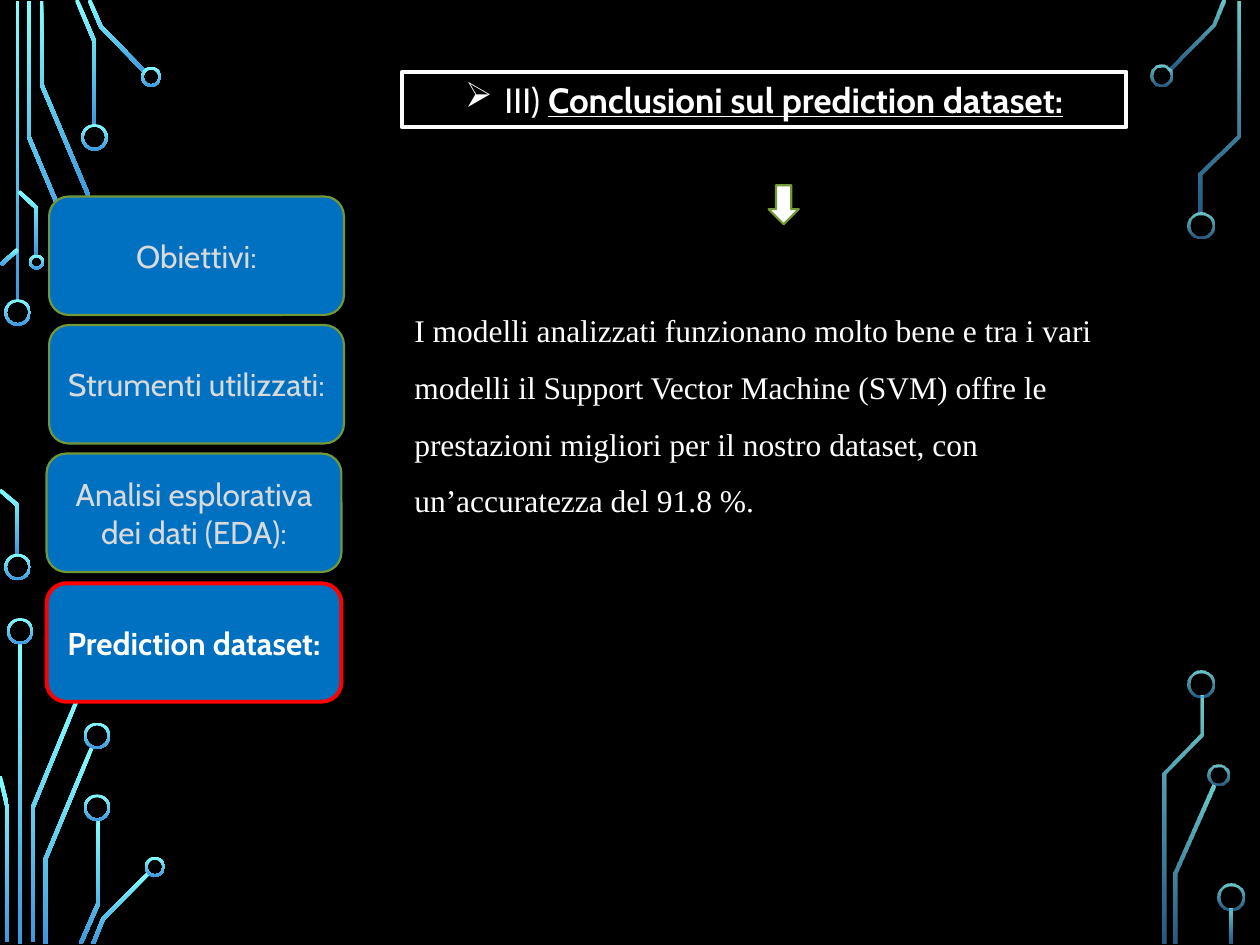
import math

from lxml import etree
from pptx import Presentation
from pptx import util as u
from pptx.dml.color import RGBColor
from pptx.enum import shapes, text
from pptx.oxml.ns import qn

COLOURS = {
    "background": "000000", "glow_top": "82FFFF", "glow_bottom": "3D97DE",
    "step": "0070C0", "step_edge": "729838", "step_text": "D9D9D9",
    "current_edge": "FF0000", "white": "FFFFFF",
}
HEADING_FONT, BODY_FONT = "Cabin", "Times New Roman"

# Menu steps: label, left, top, is current
STEPS = [
    ("Obiettivi:", 0.39, 1.56, False),
    ("Strumenti utilizzati:", 0.39, 2.58, False),
    ("Analisi esplorativa dei dati (EDA):", 0.37, 3.6, False),
    ("Prediction dataset:", 0.37, 4.63, True),
]
TITLE = [(" III) ", False), ("Conclusioni sul prediction dataset:", True)]
CONCLUSION = ("I modelli analizzati funzionano molto bene e tra i vari modelli il "
              "Support Vector Machine (SVM) offre le prestazioni migliori per il "
              "nostro dataset, con un’accuratezza del 91.8 %.")

# Circuit pattern: centre lines of the traces, and rings as (centre x, centre y, diameter)
TRACE_WIDTH, RING_WIDTH = 0.03, 0.02
CIRCUITS = [
    {
        "opacity": None,
        "traces": [
            [(0.14, 0.01), (0.14, 2.4)],
            [(0.23, 0.01), (0.23, 1.09), (0.61, 1.99)],
            [(0.33, 0.01), (0.33, 0.67), (0.71, 1.57)],
            [(0.61, 0), (0.75, 0.33), (0.75, 1)],
            [(0.71, 0), (0.8, 0.21), (1.15, 0.57)],
            [(0.01, 2.1), (0.14, 1.98)],
            [(0, 3.89), (0.14, 4.01), (0.14, 4.41)],
            [(0.15, 1.52), (0.29, 1.65), (0.29, 2.03)],
            [(0.16, 5.1), (0.16, 7.49)],
            [(0.63, 5.51), (0.26, 6.41), (0.26, 7.48)],
            [(0, 6.16), (0.06, 6.41), (0.06, 7.48)],
            [(0.73, 5.93), (0.36, 6.82), (0.36, 7.49)],
            [(0.78, 6.5), (0.78, 7.17), (0.64, 7.49)],
            [(1.18, 6.93), (0.82, 7.29), (0.74, 7.49)],
        ],
        "rings": [
            (0.14, 2.48, 0.21), (0.14, 4.5, 0.21), (0.75, 1.66, 0.21),
            (0.75, 1.09, 0.21), (1.2, 0.61, 0.16), (0.29, 2.08, 0.12),
            (0.16, 5.01, 0.21), (0.77, 5.84, 0.21), (0.77, 6.41, 0.21),
            (1.23, 6.88, 0.16),
        ],
    },
    {
        "opacity": (80, 60),
        "traces": [
            [(9.71, 0), (9.63, 0.2), (9.28, 0.56)],
            [(9.63, 6.23), (9.33, 6.93), (9.33, 7.49)],
            [(9.83, 0.01), (9.83, 1.08), (9.53, 1.38), (9.53, 1.69)],
            [(9.54, 5.52), (9.54, 5.83), (9.24, 6.14), (9.24, 7.49)],
            [(9.77, 7.21), (9.77, 7.49)],
        ],
        "rings": [
            (9.22, 0.6, 0.17), (9.53, 1.79, 0.21), (9.67, 6.15, 0.17),
            (9.53, 5.43, 0.21), (9.77, 7.12, 0.21),
        ],
    },
]


def rgb(name):
    return RGBColor.from_string(COLOURS[name])


def inches(*lengths):
    return [u.Inches(length) for length in lengths]


def trace_outline(points, width):
    """Outline of a line of the given width, with mitred corners."""
    normals = []
    for (x1, y1), (x2, y2) in zip(points, points[1:]):
        length = math.hypot(x2 - x1, y2 - y1)
        normals.append(((y1 - y2) / length, (x2 - x1) / length))
    one_side, other_side = [], []
    for (x, y), (ax, ay), (bx, by) in zip(points, normals[:1] + normals,
                                          normals + normals[-1:]):
        reach = width / 2 / (1 + ax * bx + ay * by)
        dx, dy = (ax + bx) * reach, (ay + by) * reach
        one_side.append((x + dx, y + dy))
        other_side.append((x - dx, y - dy))
    return one_side + other_side[::-1]


def glow(shape, opacity):
    shape.shadow.inherit = False
    shape.line.fill.background()
    shape.fill.gradient()
    shape.fill.gradient_angle = 270
    for stop, name in zip(shape.fill.gradient_stops, ("glow_top", "glow_bottom")):
        stop.color.rgb = rgb(name)
    if opacity:
        stop_colours = shape._element.spPr.iter(qn("a:srgbClr"))
        for colour, percent in zip(stop_colours, opacity):
            etree.SubElement(colour, qn("a:alpha"), val=str(percent * 1000))


def add_box(kind, box, fill, edge, edge_width):
    shape = slide.shapes.add_shape(kind, *inches(*box))
    shape.shadow.inherit = False
    if fill:
        shape.fill.solid()
        shape.fill.fore_color.rgb = rgb(fill)
    else:
        shape.fill.background()
    shape.line.color.rgb = rgb(edge)
    shape.line.width = u.Pt(edge_width)
    return shape


def style(run, font, size, colour, bold=False):
    run.font.name, run.font.size, run.font.bold = font, u.Pt(size), bold
    run.font.color.rgb = rgb(colour)


prs = Presentation()
prs.slide_width, prs.slide_height = inches(10, 7.5)
slide = prs.slides.add_slide(prs.slide_layouts[6])
slide.background.fill.solid()
slide.background.fill.fore_color.rgb = rgb("background")

# Circuit pattern
for circuit in CIRCUITS:
    for points in circuit["traces"]:
        outline = [inches(*point) for point in trace_outline(points, TRACE_WIDTH)]
        builder = slide.shapes.build_freeform(*outline[0])
        builder.add_line_segments(outline[1:], close=True)
        glow(builder.convert_to_shape(), circuit["opacity"])
    for x, y, size in circuit["rings"]:
        ring = slide.shapes.add_shape(
            shapes.MSO_SHAPE.DONUT, *inches(x - size / 2, y - size / 2, size, size))
        ring.adjustments[0] = RING_WIDTH / size
        glow(ring, circuit["opacity"])

# Menu steps
for label, left, top, current in STEPS:
    edge, edge_width = ("current_edge", 2.25) if current else ("step_edge", 1.25)
    step = add_box(shapes.MSO_SHAPE.ROUNDED_RECTANGLE, (left, top, 2.34, 0.94),
                   "step", edge, edge_width)
    step.text_frame.text = label
    step.text_frame.word_wrap = True
    step.text_frame.vertical_anchor = text.MSO_ANCHOR.MIDDLE
    paragraph = step.text_frame.paragraphs[0]
    paragraph.alignment = text.PP_ALIGN.CENTER
    style(paragraph.runs[0], HEADING_FONT, 18, "white" if current else "step_text", current)

# Arrow from the title to the conclusion
add_box(shapes.MSO_SHAPE.DOWN_ARROW, (6.1, 1.47, 0.24, 0.31), "white", "step_edge", 1.25)

# Title with an arrow bullet
title = add_box(shapes.MSO_SHAPE.RECTANGLE, (3.19, 0.57, 5.75, 0.44), None, "white", 2.25)
title.text_frame.word_wrap = True
title.text_frame.vertical_anchor = text.MSO_ANCHOR.TOP
heading = title.text_frame.paragraphs[0]
heading.alignment = text.PP_ALIGN.CENTER
for words, emphasis in TITLE:
    run = heading.add_run()
    run.text = words
    style(run, HEADING_FONT, 20, "white", emphasis)
    run.font.underline = emphasis
properties = heading._p.get_or_add_pPr()
indent = u.Inches(0.25)
properties.set("marL", str(indent))
properties.set("indent", str(-indent))
etree.SubElement(properties, qn("a:buChar"), char="➢")

# Conclusion
conclusion = slide.shapes.add_textbox(*inches(3.19, 2.27, 6.07, 2.22))
conclusion.text_frame.word_wrap = True
conclusion.text_frame.text = CONCLUSION
statement = conclusion.text_frame.paragraphs[0]
statement.line_spacing = 1.5
style(statement.runs[0], BODY_FONT, 18, "white")

prs.save("out.pptx")
